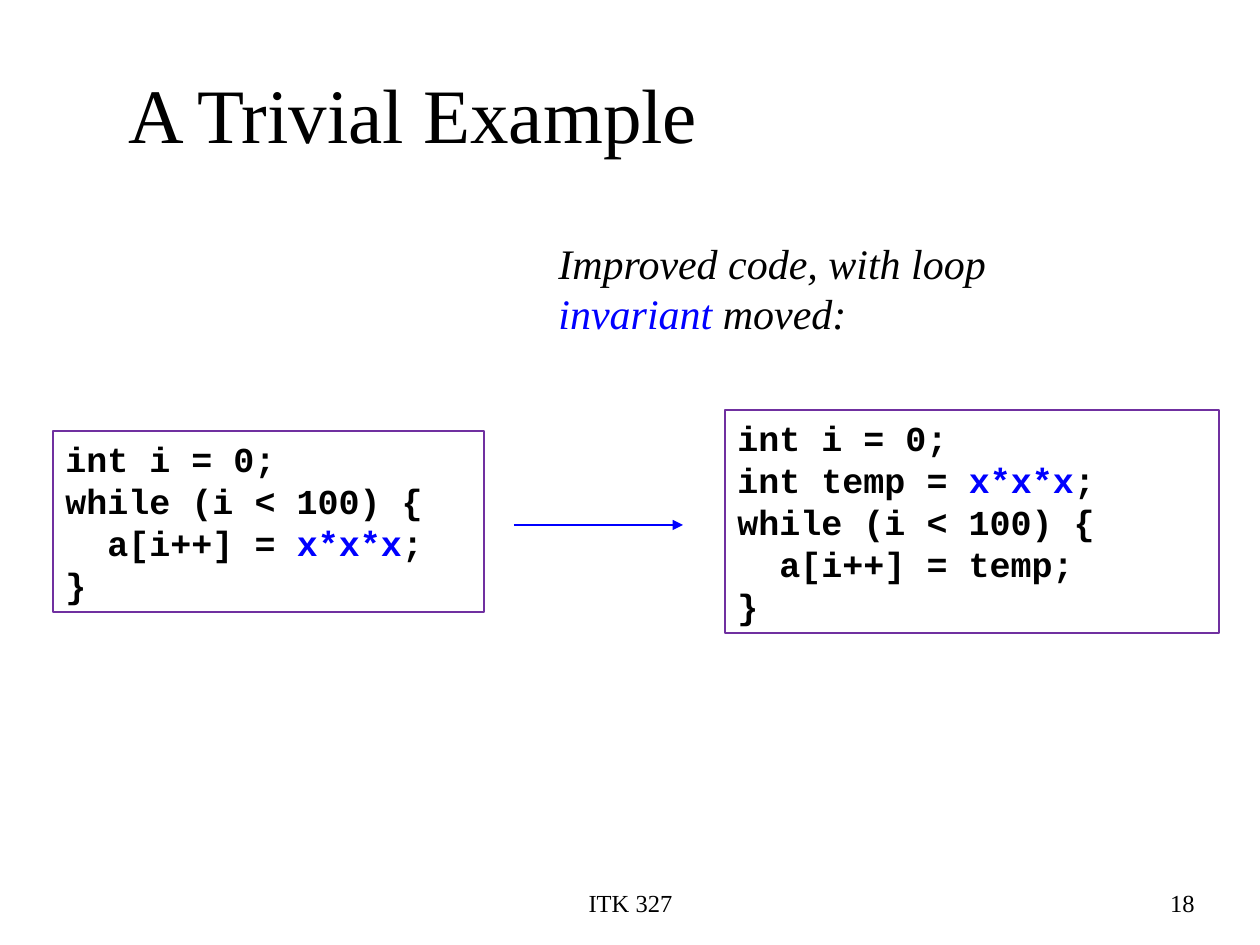
from dataclasses import dataclass

import pptx
import pptx.dml.color
import pptx.enum.shapes
import pptx.enum.text
import pptx.oxml
import pptx.oxml.ns
import pptx.util

ALIGN = pptx.enum.text.PP_ALIGN
ANCHOR = pptx.enum.text.MSO_ANCHOR
EMU_PER_PX = 914400 / 126


@dataclass(frozen=True)
class Theme:
    ink: str = "000000"
    accent: str = "0000FF"
    frame: str = "7030A0"
    prose_font: str = "Times New Roman"
    code_font: str = "Courier New"
    title_size: int = 44
    caption_size: int = 24
    code_size: int = 20
    footer_size: int = 14
    line_width: float = 0.75
    code_space_before: float = 12.5


THEME = Theme()


def px(*lengths):
    return [pptx.util.Emu(round(length * EMU_PER_PX)) for length in lengths]


def rgb(colour):
    return pptx.dml.color.RGBColor.from_string(colour)


def style_line(line, colour):
    line.color.rgb = rgb(colour)
    line.width = pptx.util.Pt(THEME.line_width)


def write(paragraph, text, highlight, font, size, bold=False, italic=False):
    before, accent, after = text.partition(highlight) if highlight else (text, "", "")
    for part, colour in ((before, THEME.ink), (accent, THEME.accent), (after, THEME.ink)):
        for index, words in enumerate(part.split("\n")):
            if index:
                paragraph.add_line_break()
            if not words:
                continue
            run = paragraph.add_run()
            run.text = words
            run.font.name = font
            run.font.size = pptx.util.Pt(size)
            run.font.bold = bold
            run.font.italic = italic
            run.font.color.rgb = rgb(colour)


def add_prose(slide, box, text, size, align=ALIGN.LEFT, anchor=ANCHOR.MIDDLE,
              wrap=True, highlight="", italic=False):
    frame = slide.shapes.add_textbox(*px(*box)).text_frame
    frame.word_wrap = wrap
    frame.vertical_anchor = anchor
    paragraph = frame.paragraphs[0]
    paragraph.alignment = align
    write(paragraph, text, highlight, THEME.prose_font, size, italic=italic)


def add_code(slide, box, code, highlight):
    panel = slide.shapes.add_shape(pptx.enum.shapes.MSO_SHAPE.RECTANGLE, *px(*box))
    panel.shadow.inherit = False
    panel.fill.background()
    style_line(panel.line, THEME.frame)
    frame = panel.text_frame
    frame.word_wrap = True
    frame.auto_size = pptx.enum.text.MSO_AUTO_SIZE.SHAPE_TO_FIT_TEXT
    frame.vertical_anchor = ANCHOR.TOP
    paragraph = frame.paragraphs[0]
    paragraph.alignment = ALIGN.LEFT
    paragraph.space_before = pptx.util.Pt(THEME.code_space_before)
    write(paragraph, code, highlight, THEME.code_font, THEME.code_size, bold=True)


def add_arrow(slide, start, end):
    arrow = slide.shapes.add_connector(
        pptx.enum.shapes.MSO_CONNECTOR.STRAIGHT, *px(*start, *end))
    style_line(arrow.line, THEME.accent)
    namespace = pptx.oxml.ns.nsdecls("a")
    arrow.line._get_or_add_ln().append(
        pptx.oxml.parse_xml(f'<a:tailEnd {namespace} type="triangle"/>'))
    arrow._element.spPr.append(pptx.oxml.parse_xml(f"<a:effectLst {namespace}/>"))


def main():
    deck = pptx.Presentation()
    deck.slide_width, deck.slide_height = px(1260, 945)
    slide = deck.slides.add_slide(deck.slide_layouts[6])

    add_prose(slide, (431, 871, 399, 63), "ITK 327", THEME.footer_size,
              align=ALIGN.CENTER, wrap=False)
    add_prose(slide, (945, 871, 262, 63), "18", THEME.footer_size,
              align=ALIGN.RIGHT, wrap=False)
    add_prose(slide, (116, 47, 882, 131), "A Trivial Example", THEME.title_size)
    add_code(slide, (53, 431, 431, 181),
             "int i = 0;\nwhile (i < 100) {\n  a[i++] = x*x*x;\n}", "x*x*x")
    add_code(slide, (725, 410, 494, 223),
             "int i = 0;\nint temp = x*x*x;\nwhile (i < 100) {\n  a[i++] = temp;\n}", "x*x*x")
    add_prose(slide, (546, 231, 599, 113), "Improved code, with loop invariant moved:",
              THEME.caption_size, anchor=ANCHOR.TOP, highlight="invariant", italic=True)
    add_arrow(slide, (514, 525), (683, 525))

    deck.save("out.pptx")


if __name__ == "__main__":
    main()
